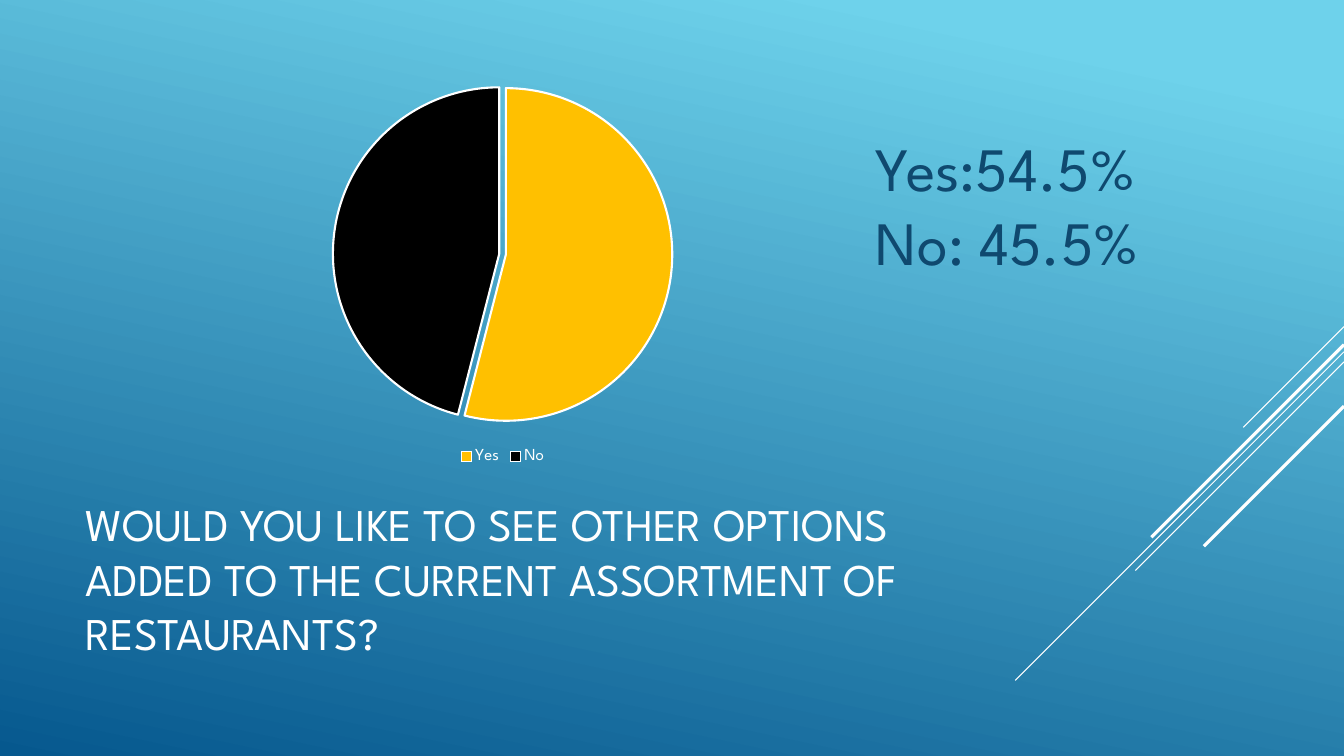
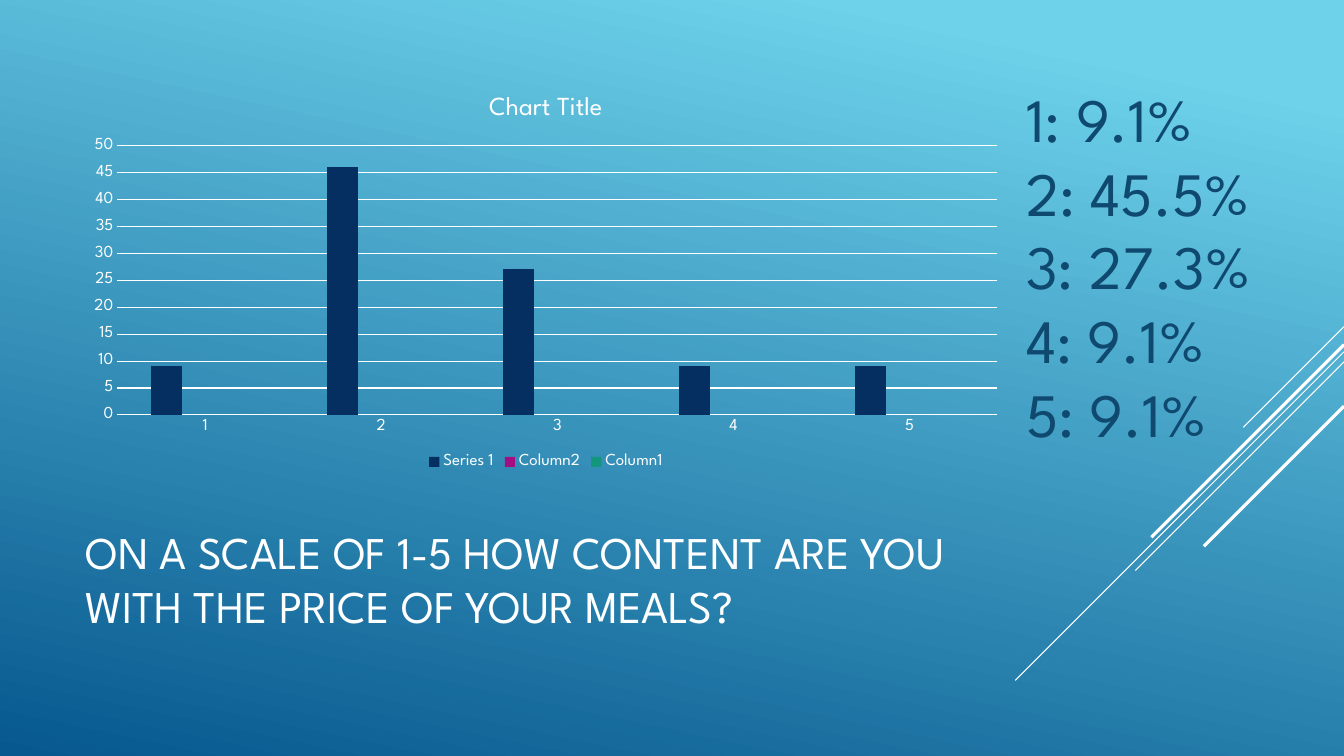
from dataclasses import dataclass
from lxml import etree
from pptx import Presentation
from pptx.chart.data import CategoryChartData as Data
from pptx.dml.color import RGBColor as RGB
from pptx.enum.chart import XL_CHART_TYPE as Kind, XL_LEGEND_POSITION as Spot, XL_TICK_MARK as Tick
from pptx.enum.shapes import MSO_CONNECTOR as Link
from pptx.enum.text import MSO_ANCHOR as Anchor
from pptx.oxml.ns import qn
from pptx.util import Inches, Pt


@dataclass(frozen=True)
class Theme:
    font: str = "League Spartan"
    white: str = "FFFFFF"
    ink: str = "0F496F"
    sky: str = "6ED2EB"
    deep: str = "06588E"
    angle: int = 102
    title: float = 32.4
    stat: float = 44
    head: float = 18.6
    label: float = 12


T = Theme()
WIDE, HIGH = 13.33, 7.5
TITLE = (0.75, 4.91, 9.33, 1.65)
RAYS = [(3.24, 1, 0.75), (3.49, 3.26, 0.75), (3.59, 2.07, 0.75),
        (3.42, 1.91, 2.25), (4.03, 1.39, 2.25)]

SLIDES = [
    dict(
        title="WOULD YOU LIKE TO SEE OTHER OPTIONS ADDED TO THE CURRENT ASSORTMENT OF RESTAURANTS?",
        stats=["Yes:54.5%", "No: 45.5%"],
        area=(8.59, 1.24, 3.76, 1.58),
        chart=dict(kind="pie", box=(0.32, 0.7, 9.33, 3.95), cats=["Yes", "No"],
                   rows=[("Series 1", [54, 46])], fills=["FFC000", "000000"]),
    ),
    dict(
        title="ON A SCALE OF 1-5 HOW CONTENT ARE YOU WITH THE PRICE OF YOUR MEALS?",
        stats=["1: 9.1%", "2: 45.5%", "3: 27.3%", "4: 9.1%", "5: 9.1%"],
        area=(10.08, 0.75, 2.85, 3.8),
        chart=dict(kind="bar", box=(0.75, 0.75, 9.33, 3.95), cats=list("12345"),
                   rows=[("Series 1", [9, 46, 27, 9, 9]),
                         ("Column2", [None] * 5), ("Column1", [None] * 5)],
                   fills=["052F61", "A50E82", "14967C"], head="Chart Title"),
    ),
]


def style(font, size, color=T.white):
    font.name, font.size, font.bold = T.font, Pt(size), False
    font.color.rgb = RGB.from_string(color)


def paint(part, color):
    part.fill.solid()
    part.fill.fore_color.rgb = RGB.from_string(color)


def stroke(line, width):
    line.color.rgb = RGB.from_string(T.white)
    line.width = Pt(width)


def add_text(slide, lines, box, size, color, anchor=Anchor.TOP):
    frame = slide.shapes.add_textbox(*map(Inches, box)).text_frame
    frame.word_wrap = True
    frame.vertical_anchor = anchor
    for i, line in enumerate(lines):
        para = frame.paragraphs[0] if i == 0 else frame.add_paragraph()
        run = para.add_run()
        run.text = line
        style(run.font, size, color)


def add_rays(slide):
    for top, run, width in RAYS:
        ends = map(Inches, (WIDE, top, WIDE - run, top + run))
        ray = slide.shapes.add_connector(Link.STRAIGHT, *ends)
        stroke(ray.line, width)
        etree.SubElement(ray._element.spPr, qn("a:effectLst"))


def style_pie(plot, fills):
    plot.vary_by_categories = True
    series = plot.series[0]
    for i, color in enumerate(fills):
        form = series.points[i].format
        paint(form, color)
        stroke(form.line, 1.5)
    for point in series._element.findall(qn("c:dPt")):
        gap = etree.Element(qn("c:explosion"), val="2")
        point.find(qn("c:spPr")).addprevious(gap)


def style_bars(chart, plot, fills):
    plot.vary_by_categories = False
    plot.gap_width, plot.overlap = 219, -27
    for series, color in zip(plot.series, fills):
        paint(series.format, color)
    cat, val = chart.category_axis, chart.value_axis
    for axis in (cat, val):
        axis.major_tick_mark = axis.minor_tick_mark = Tick.NONE
        style(axis.tick_labels.font, T.label)
    stroke(cat.format.line, 0.75)
    val.format.line.fill.background()
    stroke(val.major_gridlines.format.line, 0.75)
    val.minimum_scale, val.maximum_scale, val.major_unit = 0, 50, 5
    val.tick_labels.number_format = "General"
    val.tick_labels.number_format_is_linked = False


def add_graph(slide, kind, box, cats, rows, fills, head=None):
    data = Data()
    data.categories = cats
    for name, vals in rows:
        data.add_series(name, vals)
    form = Kind.PIE if kind == "pie" else Kind.COLUMN_CLUSTERED
    chart = slide.shapes.add_chart(form, *map(Inches, box), data).chart
    style(chart.font, T.label)
    chart.has_title = head is not None
    if head:
        run = chart.chart_title.text_frame.paragraphs[0].add_run()
        run.text = head
        style(run.font, T.head)
        chart.chart_title.include_in_layout = False
    chart.has_legend = True
    chart.legend.position = Spot.BOTTOM
    chart.legend.include_in_layout = False
    style(chart.legend.font, T.label)
    plot = chart.plots[0]
    if kind == "pie":
        style_pie(plot, fills)
    else:
        style_bars(chart, plot, fills)


def set_back(master):
    fill = master.background.fill
    fill.gradient()
    fill.gradient_angle = 360 - T.angle
    for stop, spot, color in zip(fill.gradient_stops, (0.1, 1), (T.sky, T.deep)):
        stop.position = spot
        stop.color.rgb = RGB.from_string(color)


def main():
    deck = Presentation()
    deck.slide_width, deck.slide_height = Inches(WIDE), Inches(HIGH)
    set_back(deck.slide_master)
    for item in SLIDES:
        slide = deck.slides.add_slide(deck.slide_layouts[6])
        add_rays(slide)
        add_text(slide, [item["title"]], TITLE, T.title, T.white, Anchor.MIDDLE)
        add_graph(slide, **item["chart"])
        add_text(slide, item["stats"], item["area"], T.stat, T.ink)
    deck.save("out.pptx")


if __name__ == "__main__":
    main()
